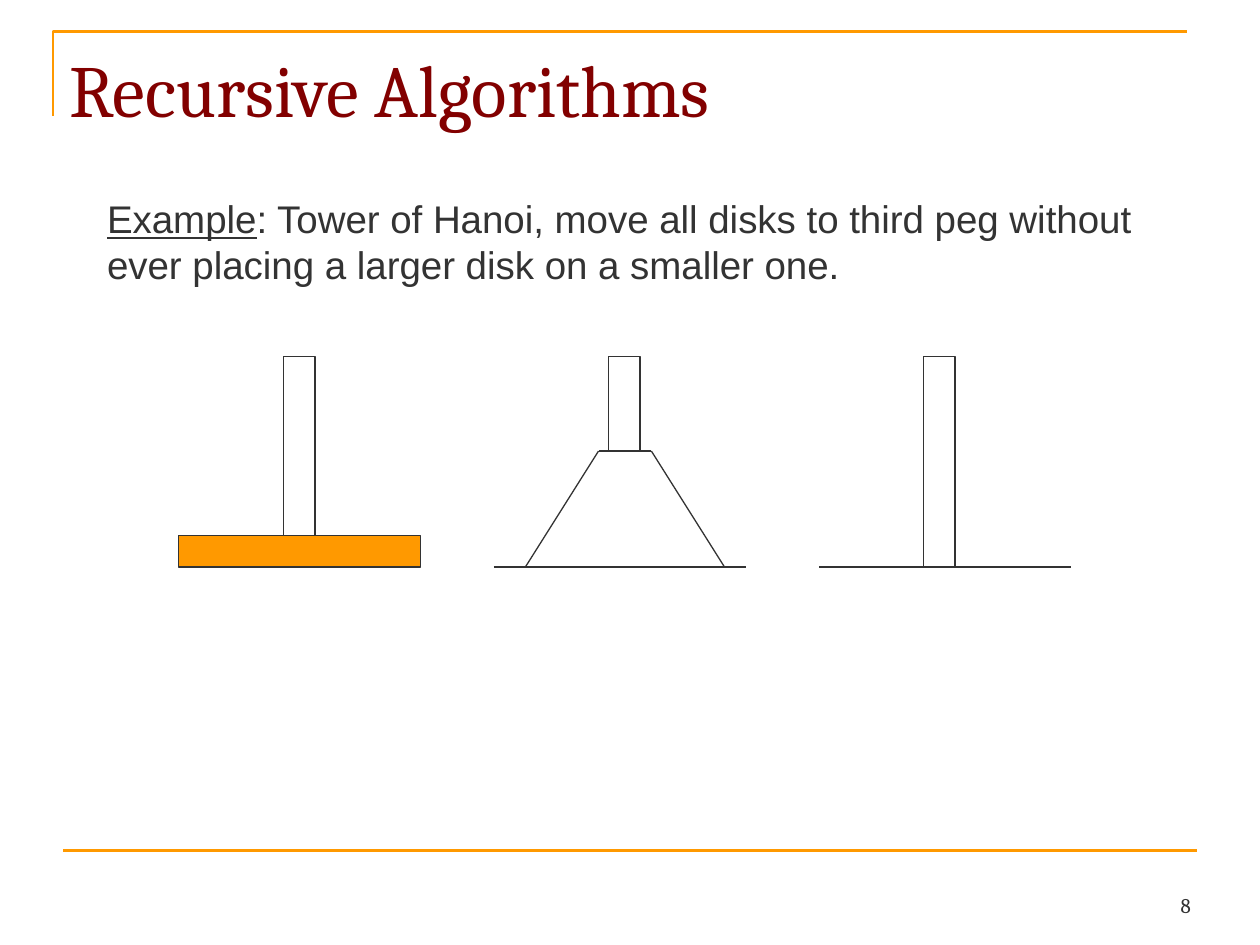
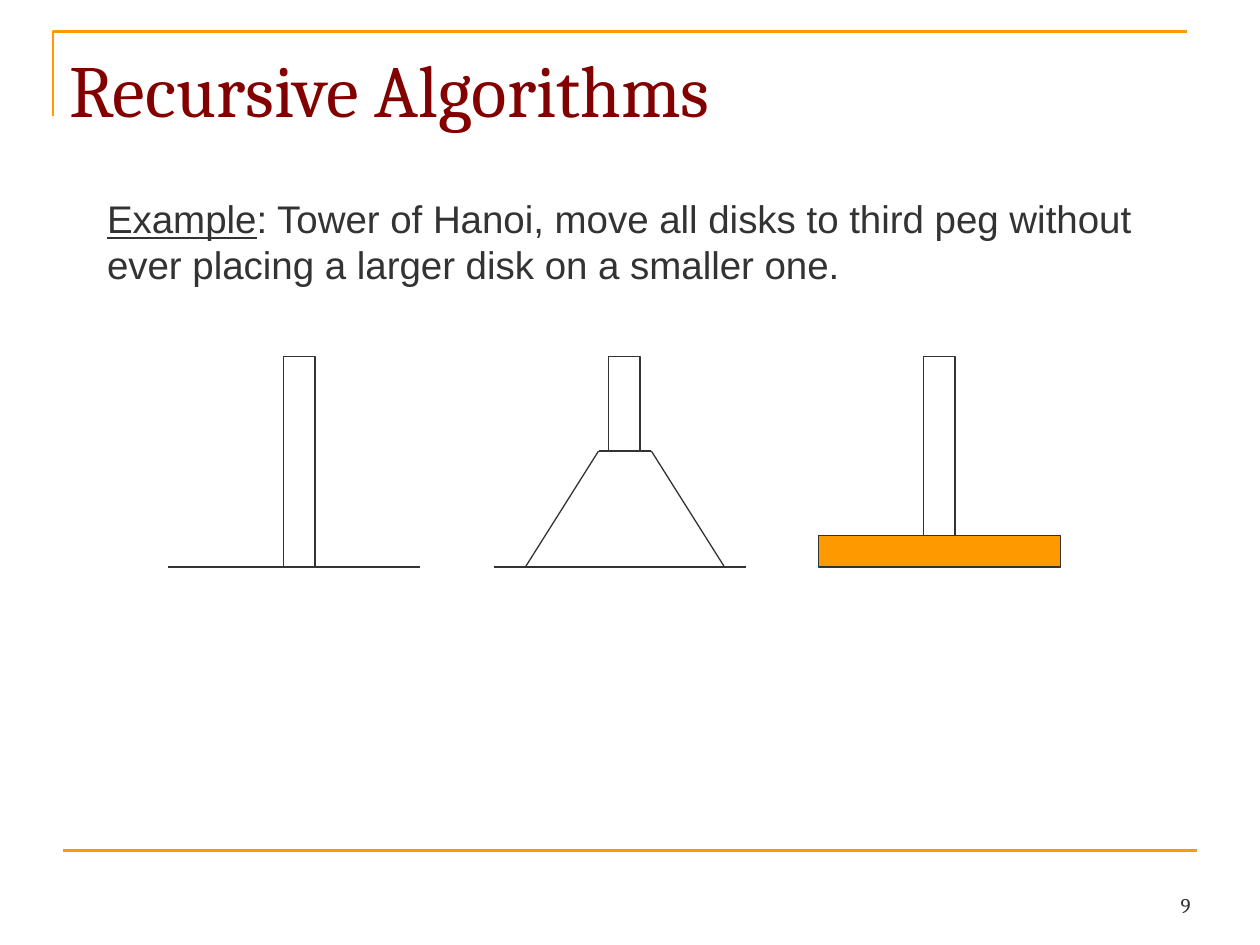
from lxml import etree
from pptx import Presentation
from pptx.dml.color import RGBColor
from pptx.enum.shapes import MSO_CONNECTOR, MSO_SHAPE
from pptx.enum.text import MSO_ANCHOR, PP_ALIGN
from pptx.oxml.ns import qn
from pptx.util import Inches, Pt

LINE = MSO_CONNECTOR.STRAIGHT
RECT = MSO_SHAPE.RECTANGLE
LEFT, RIGHT = PP_ALIGN.LEFT, PP_ALIGN.RIGHT
TOP, BOTTOM = MSO_ANCHOR.TOP, MSO_ANCHOR.BOTTOM

hue = RGBColor.from_string
ORANGE, DARK, MAROON, WHITE = "FF9900", "333333", "820000", "FFFFFF"
SERIF, SANS = "Cambria", "Arial"

TITLE = "Recursive Algorithms"
LEAD = "Example"
TASK = (": Tower of Hanoi, move all disks to third peg without "
        "ever placing a larger disk on a smaller one.")

PEGS = [(2.25, 1.33), (4.83, 3.92), (7.33, 6.5)]
FLOOR, PEG_TOP, CONE_TOP = 4.5, 2.83, 3.58
PEG_W, BASE_W = 0.25, 2
DISK_W, DISK_H = 1.92, 0.25
CONE = [(4.17, FLOOR), (4.75, CONE_TOP), (5.17, CONE_TOP), (5.75, FLOOR)]
MIDDLE = 1
SLIDES = [(8, 0), (9, 2)]

deck = Presentation()
deck.slide_width, deck.slide_height = Inches(10), Inches(7.5)


def write(slide, text, box, size, font=SERIF, color=DARK, align=LEFT,
          anchor=TOP, wrap=True, before=0, lead=""):
    frame = slide.shapes.add_textbox(*map(Inches, box)).text_frame
    frame.word_wrap = wrap
    frame.vertical_anchor = anchor
    frame.margin_left = frame.margin_right = Inches(0.05)
    frame.margin_top = frame.margin_bottom = Inches(0.05)
    para = frame.paragraphs[0]
    para.alignment = align
    para.space_before = Pt(before)
    for part, under in ((lead, True), (text, False)):
        if part:
            run = para.add_run()
            run.text = part
            run.font.name, run.font.size = font, Pt(size)
            run.font.color.rgb = hue(color)
            run.font.underline = under


def draw(slide, box, color=DARK, width=0.75, fill=None):
    spots = [Inches(n) for n in box]
    if fill:
        shape = slide.shapes.add_shape(RECT, *spots)
        shape.shadow.inherit = False
        shape.fill.solid()
        shape.fill.fore_color.rgb = hue(fill)
    else:
        shape = slide.shapes.add_connector(LINE, *spots)
        etree.SubElement(shape._element.spPr, qn("a:effectLst"))
    shape.line.color.rgb = hue(color)
    shape.line.width = Pt(width)


for number, home in SLIDES:
    slide = deck.slides.add_slide(deck.slide_layouts[6])

    pen = slide.shapes.build_freeform(Inches(0.42), Inches(0.92))
    pen.add_line_segments([(Inches(0.42), Inches(0.25)),
                           (Inches(9.42), Inches(0.25))], close=False)
    frame = pen.convert_to_shape()
    frame.shadow.inherit = False
    frame.fill.background()
    frame.line.color.rgb = hue(ORANGE)
    frame.line.width = Pt(1.5)
    draw(slide, (0.5, 6.75, 9.5, 6.75), color=ORANGE, width=1.5)

    write(slide, str(number), (9.31, 7.05, 0.19, 0.28), 12, align=RIGHT,
          anchor=BOTTOM, wrap=False)
    write(slide, TITLE, (0.5, 0.3, 9, 1.03), 42, color=MAROON)
    write(slide, TASK, (0.8, 1.5, 8.7, 1), 22, font=SANS, before=5, lead=LEAD)

    for start, end in zip(CONE, CONE[1:]):
        draw(slide, start + end)

    for spot, (left, base) in enumerate(PEGS):
        foot = FLOOR
        if spot == home:
            foot = FLOOR - DISK_H
            disk = left + (PEG_W - DISK_W) / 2
            draw(slide, (disk, foot, DISK_W, DISK_H), fill=ORANGE)
        elif spot == MIDDLE:
            foot = CONE_TOP
        draw(slide, (left, PEG_TOP, PEG_W, foot - PEG_TOP), fill=WHITE)
        if spot != home:
            draw(slide, (base, FLOOR, base + BASE_W, FLOOR))

deck.save("out.pptx")
